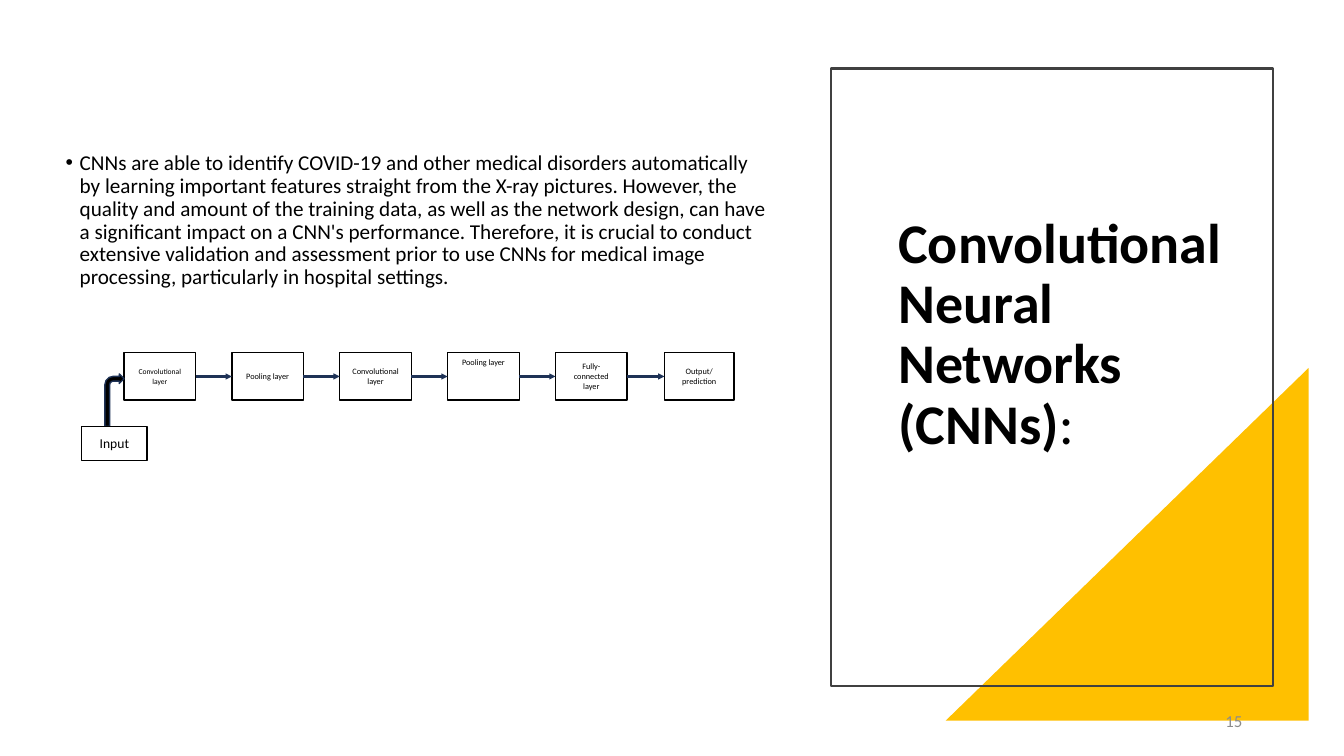
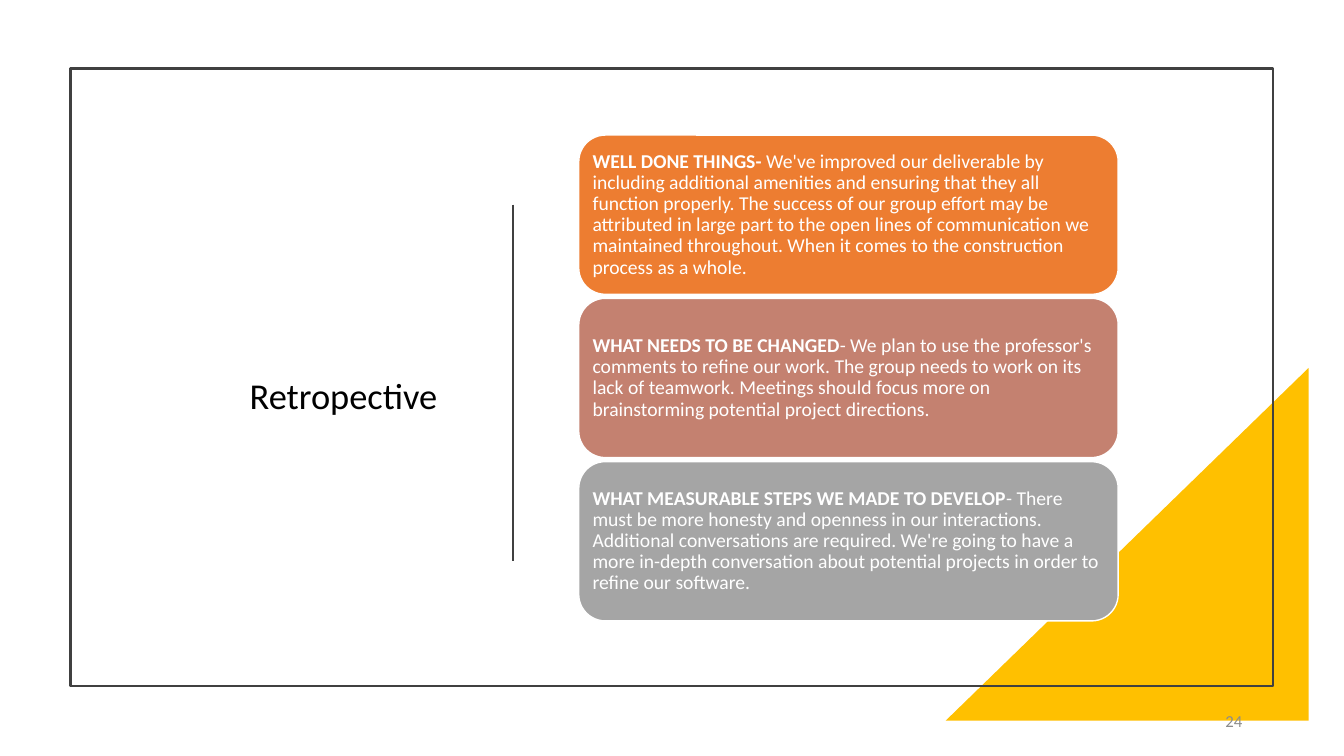
from lxml.etree import SubElement
from pptx import Presentation
from pptx.dml.color import RGBColor
from pptx.enum.shapes import MSO_CONNECTOR as CONN, MSO_SHAPE as SHAPE
from pptx.enum.text import MSO_ANCHOR as ANCHOR, MSO_AUTO_SIZE as AUTO, PP_ALIGN as ALIGN
from pptx.oxml.ns import qn
from pptx.util import Inches, Pt

FONT = "Calibri"
COLORS = {
    "black": "000000", "white": "FFFFFF", "frame": "404040", "navy": "1E3256",
    "yellow": "FFC000", "orange": "ED7D31", "rose": "C48170", "gray": "A5A5A5",
    "number": "8C8C8C",
}
TITLE_LAYOUT, BODY_LAYOUT = 5, 1

CNN_TEXT = (
    "CNNs are able to identify COVID-19 and other medical disorders automatically by learning "
    "important features straight from the X-ray pictures. However, the quality and amount of the "
    "training data, as well as the network design, can have a significant impact on a CNN's "
    "performance. Therefore, it is crucial to conduct extensive validation and assessment prior to "
    "use CNNs for medical image processing, particularly in hospital settings."
)
LAYERS = [
    ("Convolutional layer", 5.4, ANCHOR.MIDDLE),
    ("Pooling layer", 5.9, ANCHOR.MIDDLE),
    ("Convolutional layer", 5.9, ANCHOR.MIDDLE),
    ("Pooling layer", 5.9, ANCHOR.TOP),
    ("Fully-connected layer", 5.9, ANCHOR.MIDDLE),
]
CARDS = [
    ("orange", "WELL DONE THINGS- ",
     "We've improved our deliverable by including additional amenities and ensuring that they all "
     "function properly. The success of our group effort may be attributed in large part to the open "
     "lines of communication we maintained throughout. When it comes to the construction process as "
     "a whole."),
    ("rose", "WHAT NEEDS TO BE CHANGED",
     "- We plan to use the professor's comments to refine our work. The group needs to work on its "
     "lack of teamwork. Meetings should focus more on brainstorming potential project directions."),
    ("gray", "WHAT MEASURABLE STEPS WE MADE TO DEVELOP",
     "- There must be more honesty and openness in our interactions. Additional conversations are "
     "required. We're going to have a more in-depth conversation about potential projects in order "
     "to refine our software."),
]


def rgb(name):
    return RGBColor.from_string(COLORS[name])


def apply(obj, values):
    for name, value in values.items():
        setattr(obj, name, value)


def place(sp, at):
    apply(sp, dict(zip(("left", "top", "width", "height"), map(Inches, at))))


def write(sp, runs, size, color="black", align=ALIGN.LEFT, anchor=ANCHOR.MIDDLE,
          spacing=1.0, inset=None):
    tf = sp.text_frame
    apply(tf, {"word_wrap": True, "auto_size": AUTO.NONE, "vertical_anchor": anchor})
    if inset is not None:
        sides = ("margin_left", "margin_top", "margin_right", "margin_bottom")
        apply(tf, dict.fromkeys(sides, Inches(inset)))
    p = tf.paragraphs[0]
    apply(p, {"alignment": align, "line_spacing": spacing, "space_before": Pt(0)})
    for text, bold in runs:
        r = p.add_run()
        r.text = text
        apply(r.font, {"name": FONT, "size": Pt(size), "bold": bold})
        r.font.color.rgb = rgb(color)
    return p


def add_bullet(p, indent):
    pPr = p._p.get_or_add_pPr()
    pPr.set("marL", str(Inches(indent)))
    pPr.set("indent", str(-Inches(indent)))
    SubElement(pPr, qn("a:buChar")).set("char", "•")


def add_box(s, kind, at, fill=None, line=None, width=1):
    sp = s.shapes.add_shape(kind, *map(Inches, at))
    sp.shadow.inherit = False
    if fill:
        sp.fill.solid()
        sp.fill.fore_color.rgb = rgb(fill)
    else:
        sp.fill.background()
    if line:
        sp.line.color.rgb = rgb(line)
        sp.line.width = Pt(width)
    else:
        sp.line.fill.background()
    return sp


def add_line(s, start, end, color, width):
    c = s.shapes.add_connector(CONN.STRAIGHT, *map(Inches, start + end))
    c.line.color.rgb = rgb(color)
    c.line.width = Pt(width)
    SubElement(c._element.spPr, qn("a:effectLst"))
    return c


def add_flow_arrow(s, source, target):
    c = add_line(s, (0, 0), (0, 0), "navy", 2.25)
    c.begin_connect(source, 3)
    c.end_connect(target, 1)
    head = SubElement(c.line._get_or_add_ln(), qn("a:tailEnd"))
    for name, value in {"type": "triangle", "w": "sm", "len": "sm"}.items():
        head.set(name, value)


def add_node(s, text, at, size, anchor=ANCHOR.MIDDLE):
    sp = add_box(s, SHAPE.RECTANGLE, at, "white", "black")
    write(sp, [(text, None)], size, align=ALIGN.CENTER, anchor=anchor)
    return sp


def add_base(prs, layout, frame_left, number):
    s = prs.slides.add_slide(prs.slide_layouts[layout])
    frame = add_box(s, SHAPE.RECTANGLE, (frame_left, 0.68, 12.63 - frame_left, 6.13),
                    line="frame", width=1.5)
    corner = add_box(s, SHAPE.RIGHT_TRIANGLE, (9.38, 3.65, 3.6, 3.5), "yellow")
    corner._element.spPr.find(qn("a:xfrm")).set("flipH", "1")
    for sp in (frame, corner):
        s.shapes._spTree.insert(2, sp._element)
    box = s.shapes.add_textbox(*map(Inches, (9.42, 6.95, 3, 0.4)))
    write(box, [(number, None)], 12, "number", ALIGN.RIGHT)
    return s


def add_title(s, at, runs, size, **style):
    place(s.shapes.title, at)
    write(s.shapes.title, runs, size, spacing=0.9, **style)


def build_cnn(prs):
    s = add_base(prs, BODY_LAYOUT, 8.24, "15")
    add_title(s, (8.81, 1.16, 3.5, 3.42),
              [("Convolutional Neural Networks (CNNs)", True), (":", False)], 40,
              anchor=ANCHOR.BOTTOM)
    body = s.placeholders[1]
    place(body, (0.55, 1.46, 7.21, 3.3))
    p = write(body, [(CNN_TEXT, None)], 15.1, anchor=ANCHOR.TOP, spacing=0.9)
    add_bullet(p, 0.14)

    nodes = [add_node(s, text, (1.23 + i * 1.07, 3.5, 0.71, 0.47), size, anchor)
             for i, (text, size, anchor) in enumerate(LAYERS)]
    nodes.append(add_node(s, "Output/prediction", (6.59, 3.5, 0.69, 0.47), 5.9))
    for source, target in zip(nodes, nodes[1:]):
        add_flow_arrow(s, source, target)
    add_box(s, SHAPE.BENT_ARROW, (1.04, 3.71, 0.19, 0.52), "black", "navy")
    add_node(s, "Input", (0.81, 4.23, 0.65, 0.34), 9.7)


def build_retrospective(prs):
    s = add_base(prs, TITLE_LAYOUT, 0.7, "24")
    add_title(s, (1.1, 1.5, 3.34, 4.9), [("Retropective", None)], 26, align=ALIGN.RIGHT)
    add_line(s, (5.09, 2.03), (5.09, 5.57), "frame", 1.5)
    for i, (color, heading, text) in enumerate(CARDS):
        card = add_box(s, SHAPE.ROUNDED_RECTANGLE, (5.74, 1.34 + i * 1.62, 5.35, 1.58),
                       color, "white")
        write(card, [(heading, True), (text, False)], 14, "white", spacing=0.9, inset=0.06)


def main():
    prs = Presentation()
    apply(prs, {"slide_width": Inches(13.33), "slide_height": Inches(7.5)})
    build_cnn(prs)
    build_retrospective(prs)
    prs.save("out.pptx")


if __name__ == "__main__":
    main()
